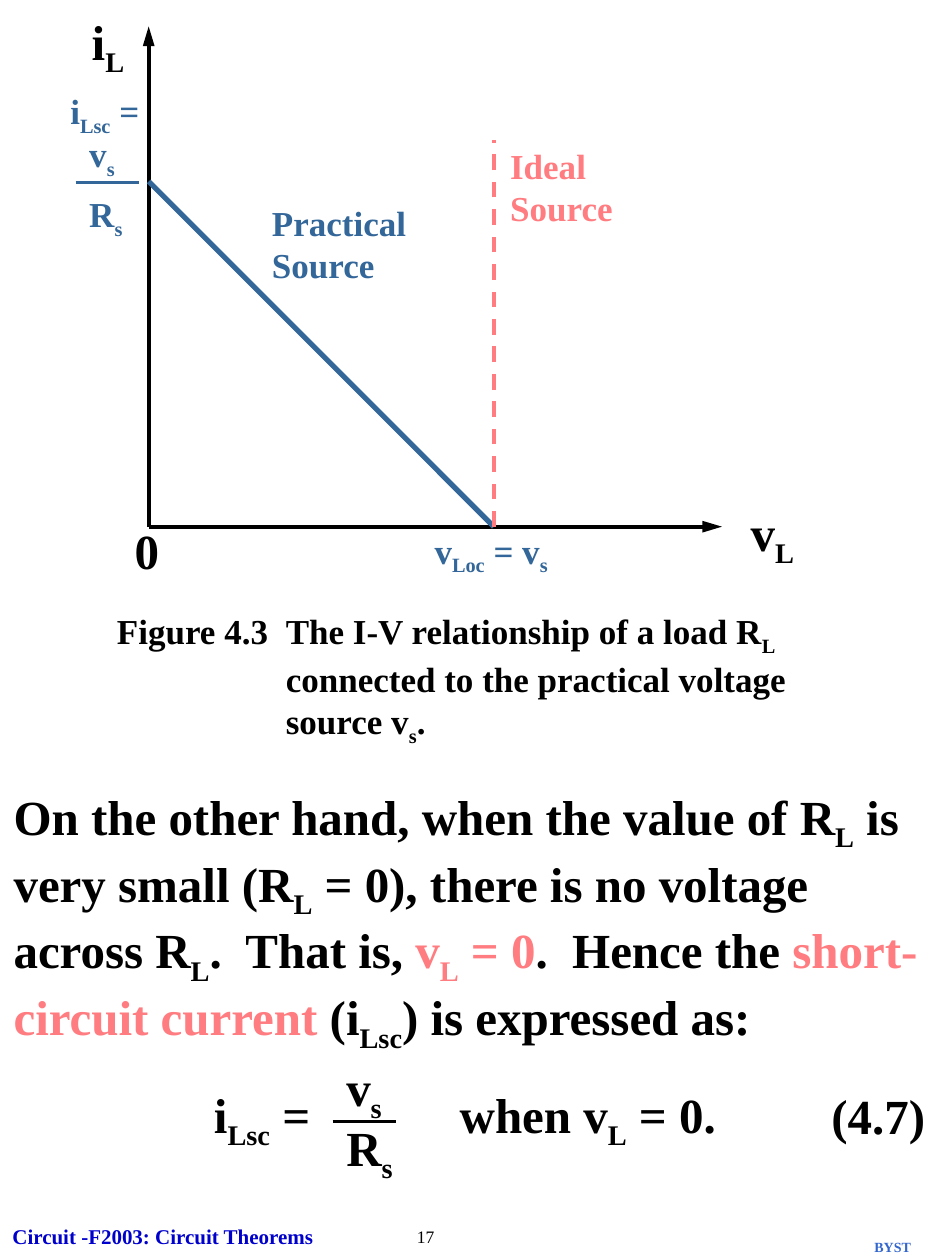
from lxml import etree
from pptx import Presentation
from pptx.dml.color import RGBColor
from pptx.enum.dml import MSO_LINE
from pptx.enum.shapes import MSO_CONNECTOR
from pptx.enum.text import MSO_AUTO_SIZE
from pptx.oxml.ns import qn
from pptx.util import Inches, Pt

STRAIGHT = MSO_CONNECTOR.STRAIGHT
DASH = MSO_LINE.DASH
FIT_SHAPE = MSO_AUTO_SIZE.SHAPE_TO_FIT_TEXT
FONT = "Times New Roman"
BLANK_LAYOUT = 6
COLORS = {
    "ink": "000000",
    "practical": "336699",
    "ideal": "FF7C80",
    "course": "0000CC",
    "author": "3366CC",
}
ORIGIN_X, ORIGIN_Y = 1.18, 4.18
SHORT_CIRCUIT_Y = 1.44
OPEN_CIRCUIT_X = 3.92
EXPLANATION = (
    "On the other hand, when the value of R_L_ is very small (R_L_ = 0), "
    "there is no voltage across R_L_.  That is, |v_L_ = 0|.  Hence the "
    "|short-circuit current| (i_Lsc_) is expressed as:"
)


def color(name):
    return RGBColor.from_string(COLORS[name])


def add_spans(para, text, size, ink, bold):
    """Underscores enclose subscripts and bars enclose highlighted words."""
    for part_index, part in enumerate(text.split("|")):
        for piece_index, piece in enumerate(part.split("_")):
            if not piece:
                continue
            span = para.add_run()
            span.text = piece
            span.font.name = FONT
            span.font.size = Pt(size)
            span.font.bold = bold
            span.font.color.rgb = color("ideal" if part_index % 2 else ink)
            if piece_index % 2:
                span.font._element.set("baseline", "-25000")


def add_text(page, text, left, top, width, height, *, size=28, ink="ink",
             bold=True, wrap=False, after=0):
    box = page.shapes.add_textbox(
        Inches(left), Inches(top), Inches(width), Inches(height))
    frame = box.text_frame
    frame.word_wrap = wrap
    frame.auto_size = FIT_SHAPE
    para = frame.paragraphs[0]
    para.space_after = Pt(after)
    add_spans(para, text, size, ink, bold)


def add_line(page, start, end, *, ink="ink", width=2.25, dash=None, arrow=False):
    line = page.shapes.add_connector(
        STRAIGHT, *(Inches(value) for value in (*start, *end)))
    line.line.color.rgb = color(ink)
    line.line.width = Pt(width)
    if dash is not None:
        line.line.dash_style = dash
    if arrow:
        outline = line.line._get_or_add_ln()
        etree.SubElement(outline, qn("a:tailEnd"), type="triangle", len="lg")
    etree.SubElement(line._element.spPr, qn("a:effectLst"))


def add_fraction(page, left, bar, tops, widths, height, **style):
    for text, top, width in zip(("v_s_", "R_s_"), tops, widths):
        add_text(page, text, left, top, width, height, **style)
    add_line(page, (left - 0.01, bar), (left + 0.49, bar),
             ink=style.get("ink", "ink"), width=1.5)


def add_footer(page):
    add_text(page, "BYST", 6.84, 9.78, 0.52, 0.24, size=8, ink="author")
    add_text(page, "Circuit -F2003: Circuit Theorems", 0, 9.66, 3.42, 0.3,
             size=12, ink="course", wrap=True)
    add_text(page, "17", 3.21, 9.68, 0.78, 0.27, size=10, bold=False, wrap=True)


def add_graph(page):
    origin = (ORIGIN_X, ORIGIN_Y)
    open_circuit = (OPEN_CIRCUIT_X, ORIGIN_Y)
    add_line(page, origin, (ORIGIN_X, 0.21), arrow=True)
    add_line(page, origin, (5.73, ORIGIN_Y), arrow=True)
    add_line(page, (ORIGIN_X, SHORT_CIRCUIT_Y), open_circuit,
             ink="practical", width=3)
    add_line(page, open_circuit, (OPEN_CIRCUIT_X, 1.11), ink="ideal", dash=DASH)

    add_text(page, "v_L_", 5.86, 3.94, 0.6, 0.63)
    add_text(page, "i_L_", 0.63, 0.04, 0.5, 0.63)
    add_text(page, "0", 0.97, 4.08, 0.42, 0.57)

    practical = {"size": 20, "ink": "practical"}
    add_text(page, "Ideal Source", 3.95, 1.1, 1.11, 0.77,
             size=20, ink="ideal", wrap=True)
    add_text(page, "Practical Source", 2.06, 1.55, 1.72, 0.77,
             wrap=True, **practical)
    add_text(page, "i_Lsc_ =", 0.46, 0.66, 0.85, 0.48, **practical)
    add_fraction(page, 0.61, 1.45, (1, 1.48), (0.45, 0.51), 0.48, **practical)
    add_text(page, "v_Loc_ = v_s_", 3.35, 4.15, 1.15, 0.48, **practical)


def add_caption(page):
    add_text(page, "Figure 4.3", 0.83, 4.79, 1.5, 0.44, size=20, wrap=True)
    add_text(page, "The I-V relationship of a load R_L_ connected to the "
             "practical voltage source v_s_.", 2.17, 4.79, 4.5, 1.19,
             size=20, wrap=True)


def add_equation(page):
    add_text(page, "i_Lsc_ =", 1.6, 8.56, 1.1, 0.63)
    add_fraction(page, 2.65, 8.9, (8.34, 8.82), (0.53, 0.62), 0.63)
    add_text(page, "when v_L_ = 0.", 3.55, 8.56, 2.28, 0.63)
    add_text(page, "(4.7)", 6.5, 8.57, 0.99, 0.57)


def main():
    deck = Presentation()
    deck.slide_width = Inches(7.5)
    deck.slide_height = Inches(10)
    page = deck.slides.add_slide(deck.slide_layouts[BLANK_LAYOUT])
    add_footer(page)
    add_graph(page)
    add_caption(page)
    add_text(page, EXPLANATION, 0.01, 6.19, 7.5, 2.23, wrap=True, after=8.8)
    add_equation(page)
    deck.save("out.pptx")


if __name__ == "__main__":
    main()
